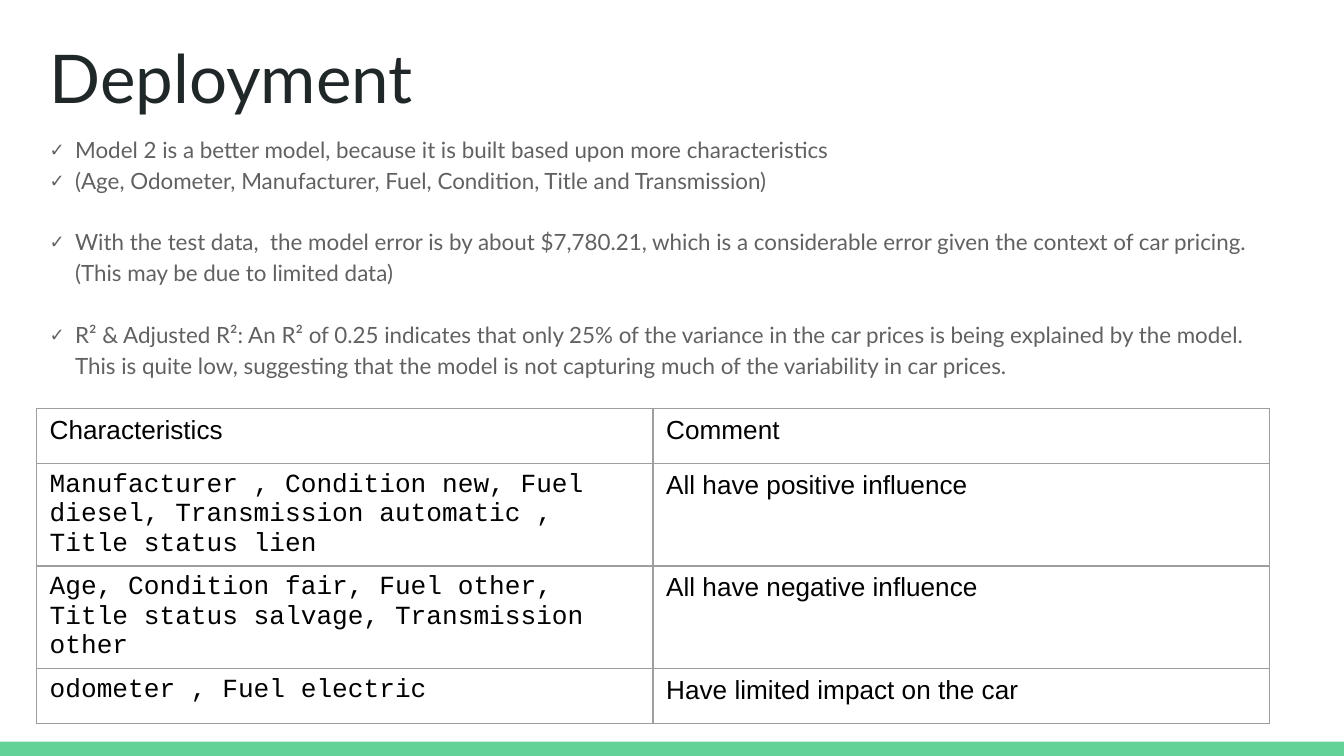
from dataclasses import dataclass

from lxml import etree
from pptx import Presentation
from pptx.dml.color import RGBColor
from pptx.enum import shapes, text
from pptx.oxml.ns import qn
from pptx.util import Cm, Pt


@dataclass(frozen=True)
class Theme:
    title_color: str = "202729"
    body_color: str = "616161"
    table_color: str = "000000"
    border_color: str = "9E9E9E"
    accent: str = "63D297"
    font: str = "Lato"
    table_font: str = "Arial"
    code_font: str = "Courier New"
    title_size: float = 36
    body_size: float = 12
    table_size: float = 14
    border_width: float = 0.75
    inset: float = 0.25
    cell_inset: float = 0.13


class SlideBuilder:
    def __init__(self, s, theme):
        self.s, self.theme = s, theme

    def add_run(self, p, content, font, size, color):
        r = p.add_run()
        r.text = content
        r.font.name, r.font.size = font, Pt(size)
        r.font.color.rgb = RGBColor.from_string(color)

    def place(self, sp, left, top, width, height):
        """Move a placeholder (cm) and return its top-anchored text frame."""
        sp.left, sp.top, sp.width, sp.height = map(Cm, (left, top, width, height))
        tf = sp.text_frame
        tf.word_wrap = True
        tf.auto_size = text.MSO_AUTO_SIZE.NONE
        tf.vertical_anchor = text.MSO_ANCHOR.TOP
        tf.margin_left = tf.margin_right = Cm(self.theme.inset)
        tf.margin_top = tf.margin_bottom = Cm(self.theme.inset)
        return tf

    def bar(self, *box):
        sp = self.s.shapes.add_shape(shapes.MSO_SHAPE.RECTANGLE, *map(Cm, box))
        sp.shadow.inherit = False
        sp.fill.solid()
        sp.fill.fore_color.rgb = RGBColor.from_string(self.theme.accent)
        sp.line.fill.background()

    def title(self, content, *box):
        t = self.theme
        p = self.place(self.s.shapes.title, *box).paragraphs[0]
        p.alignment = text.PP_ALIGN.LEFT
        self.add_run(p, content, t.font, t.title_size, t.title_color)

    def check_list(self, groups, *box):
        """Write groups of items, with one line of space between groups."""
        t = self.theme
        tf = self.place(self.s.placeholders[1], *box)
        p = tf.paragraphs[0]
        for g, group in enumerate(groups):
            for i, item in enumerate(group):
                if g or i:
                    p = tf.add_paragraph()
                p.line_spacing = 1.15
                p.space_before = Pt(16.6 if g and not i else 0)
                p.space_after = Pt(0)
                self.check_mark(p)
                self.add_run(p, item, t.font, t.body_size, t.body_color)

    def check_mark(self, p):
        pPr = p._p.get_or_add_pPr()
        pPr.set("marL", str(Cm(0.48)))
        pPr.set("indent", str(Cm(-0.48)))
        color = etree.SubElement(pPr, qn("a:buClr"))
        etree.SubElement(color, qn("a:srgbClr"), val=self.theme.body_color)
        etree.SubElement(pPr, qn("a:buSzPct"), val="81000")
        etree.SubElement(pPr, qn("a:buFont"), typeface=self.theme.font)
        etree.SubElement(pPr, qn("a:buChar"), char="✓")

    def table(self, rows, heights, left, top, width):
        t = self.theme
        box = map(Cm, (left, top, width, sum(heights)))
        tbl = self.s.shapes.add_table(len(rows), len(rows[0]), *box).table
        tbl.first_row = tbl.horz_banding = False
        for i, (row, height) in enumerate(zip(rows, heights)):
            tbl.rows[i].height = Cm(height)
            for j, content in enumerate(row):
                cell = tbl.cell(i, j)
                cell.margin_left = cell.margin_right = Cm(t.inset)
                cell.margin_top = cell.margin_bottom = Cm(t.cell_inset)
                cell.fill.background()
                self.borders(cell)
                font = t.code_font if i and j == 0 else t.table_font
                p = cell.text_frame.paragraphs[0]
                self.add_run(p, content, font, t.table_size, t.table_color)

    def borders(self, cell):
        tcPr = cell._tc.get_or_add_tcPr()
        for i, side in enumerate(("lnL", "lnR", "lnT", "lnB")):
            ln = etree.Element(qn(f"a:{side}"), w=str(Pt(self.theme.border_width)))
            fill = etree.SubElement(ln, qn("a:solidFill"))
            etree.SubElement(fill, qn("a:srgbClr"), val=self.theme.border_color)
            tcPr.insert(i, ln)


POINTS = [
    ["Model 2 is a better model, because it is built based upon more characteristics",
     "(Age, Odometer, Manufacturer, Fuel, Condition, Title and Transmission)"],
    ["With the test data,  the model error is by about $7,780.21, which is a considerable "
     "error given the context of car pricing. (This may be due to limited data)"],
    ["R² & Adjusted R²: An R² of 0.25 indicates that only 25% of the variance in the car "
     "prices is being explained by the model. This is quite low, suggesting that the model "
     "is not capturing much of the variability in car prices."],
]

INFLUENCES = [
    ("Characteristics", "Comment"),
    ("Manufacturer , Condition new, Fuel diesel, Transmission automatic , Title status lien",
     "All have positive influence"),
    ("Age, Condition fair, Fuel other, Title status salvage, Transmission other",
     "All have negative influence"),
    ("odometer , Fuel electric", "Have limited impact on the car"),
]


def main():
    prs = Presentation()
    prs.slide_width, prs.slide_height = Cm(25.4), Cm(14.29)
    s = prs.slides.add_slide(prs.slide_layouts[1])
    slide = SlideBuilder(s, Theme())
    slide.bar(0, 14.02, 25.4, 0.27)
    slide.title("Deployment", 0.69, 0.43, 23.67, 1.6)
    slide.check_list(POINTS, 0.69, 2.24, 23.3, 9.8)
    slide.table(INFLUENCES, (1.04, 1.93, 1.93, 1.04), 0.69, 7.72, 23.3)
    prs.save("out.pptx")


if __name__ == "__main__":
    main()
